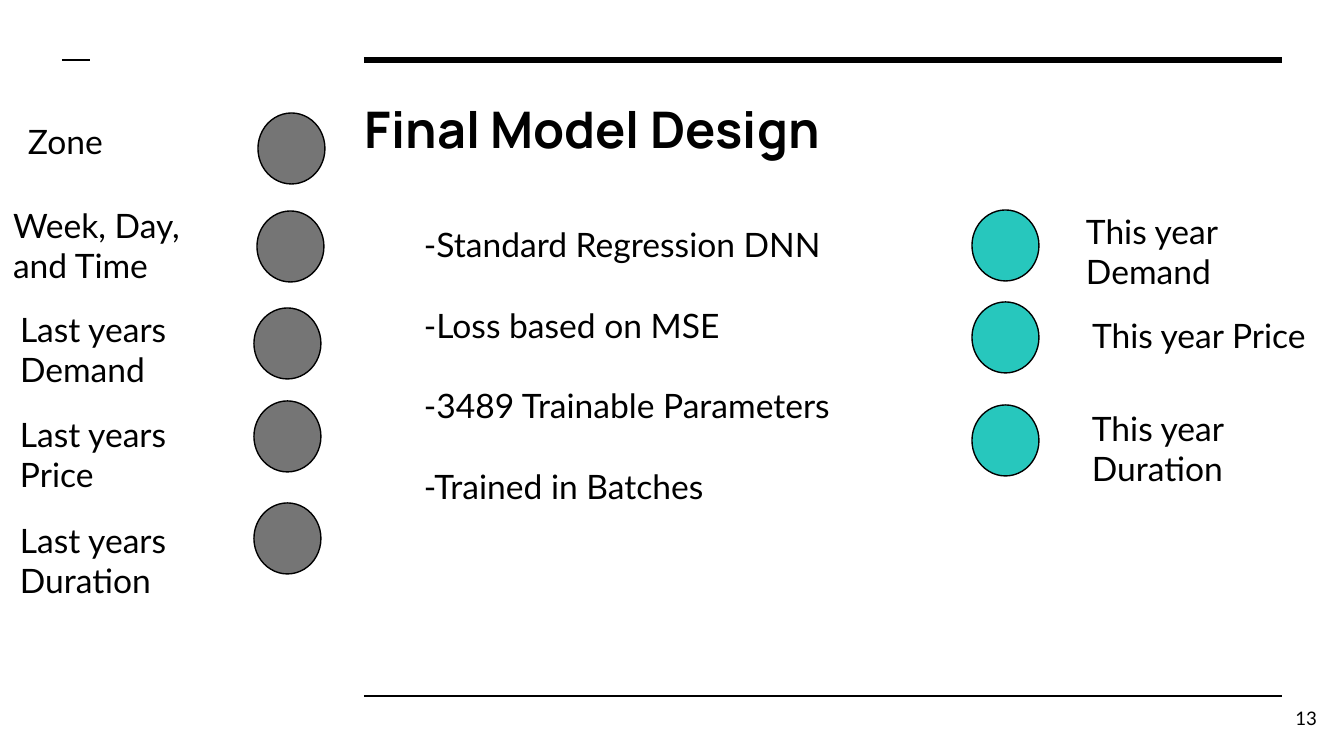
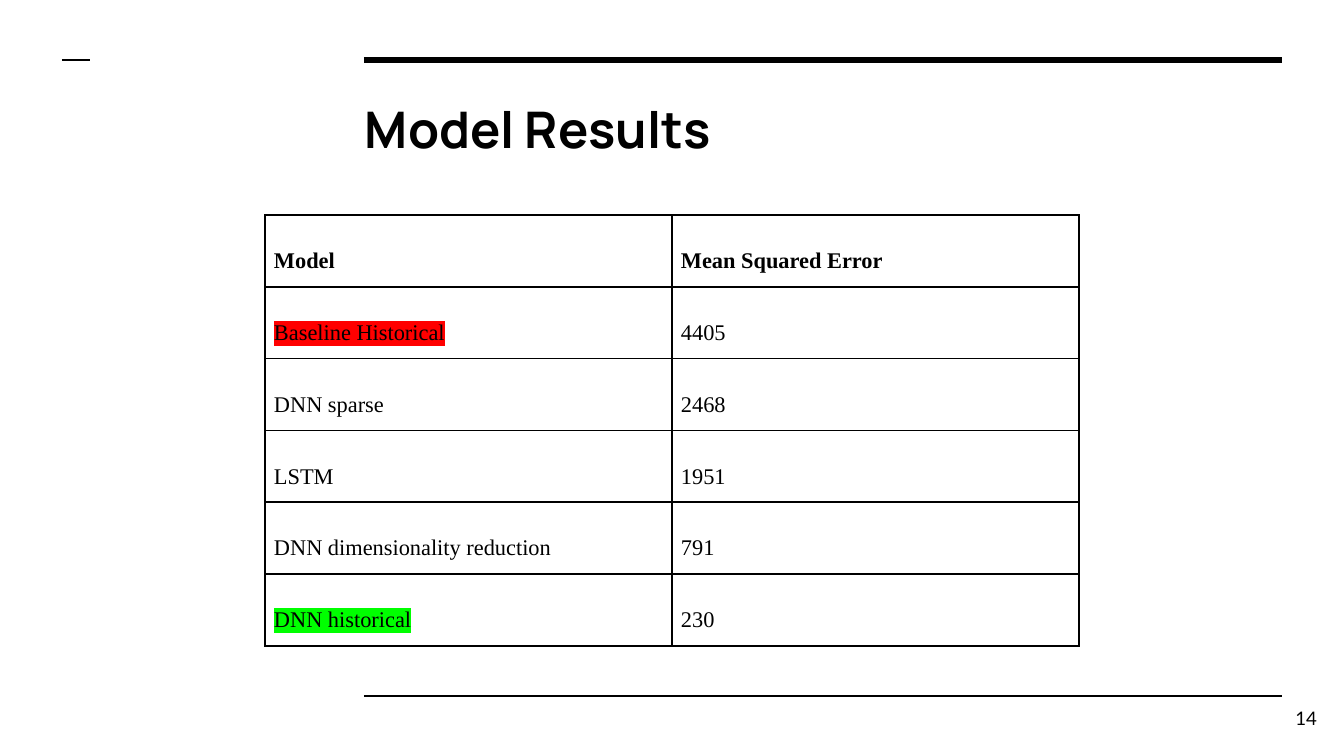
"""Build the model design and model results slides."""
from lxml import etree
from pptx import Presentation
from pptx.dml.color import RGBColor
from pptx.enum.shapes import MSO_CONNECTOR, MSO_SHAPE
from pptx.enum.text import MSO_ANCHOR, PP_ALIGN
from pptx.oxml.ns import qn
from pptx.util import Pt

STRAIGHT = MSO_CONNECTOR.STRAIGHT
OVAL = MSO_SHAPE.OVAL
TOP, MIDDLE = MSO_ANCHOR.TOP, MSO_ANCHOR.MIDDLE
LEFT, RIGHT = PP_ALIGN.LEFT, PP_ALIGN.RIGHT

EMU_PER_PX = 914400 / 134.4
COLORS = {"ink": "000000", "paper": "FFFFFF", "input": "757575",
          "output": "27C7BD", "worst": "FF0000", "best": "00FF00"}
TITLE_FONT, BODY_FONT, TABLE_FONT = "Manrope", "Lato", "Times New Roman"

RULES = [(364, 1282, 60, 3), (364, 1282, 696, 1.5), (62, 90, 60, 1.5)]
TITLE_BOX = (352, 85, 929, 93)
NUMBER_BOX = (1249, 689, 81, 58)
TEXT_INSET, CELL_INSET = 13, 9

NODE_SIZE = (67, 71)
NODES = {
    "input": [
        ((258, 113), "Zone", (15, 108, 231, 71)),
        ((257, 211), "Week, Day, and Time", (0, 192, 246, 71)),
        ((254, 308), "Last years Demand", (7, 296, 246, 93)),
        ((254, 401), "Last years Price", (7, 401, 231, 71)),
        ((254, 503), "Last years Duration", (7, 507, 231, 71)),
    ],
    "output": [
        ((972, 210), "This year Demand", (1073, 198, 246, 71)),
        ((972, 302), "This year Price", (1079, 302, 246, 93)),
        ((972, 405), "This year Duration", (1079, 395, 231, 71)),
    ],
}
DESIGN_BOX = (411, 211, 469, 228)
DESIGN_POINTS = ["-Standard Regression DNN", "-Loss based on MSE",
                 "-3489 Trainable Parameters", "-Trained in Batches"]

TABLE_ORIGIN = (265, 215)
COLUMN_WIDTH, ROW_HEIGHT = 407, 54
RESULTS = [
    ("Model", "Mean Squared Error"),
    ("Baseline Historical", "4405"),
    ("DNN sparse", "2468"),
    ("LSTM", "1951"),
    ("DNN dimensionality reduction", "791"),
    ("DNN historical", "230"),
]
HIGHLIGHTS = {"Baseline Historical": "worst", "DNN historical": "best"}


def px(*lengths):
    return [round(length * EMU_PER_PX) for length in lengths]


def rgb(name):
    return RGBColor.from_string(COLORS[name])


def set_font(paragraph, name, size, bold=False):
    font = paragraph.font
    font.name, font.size, font.bold = name, Pt(size), bold
    font.color.rgb = rgb("ink")


def set_insets(target, inset):
    edge = px(inset)[0]
    target.margin_left = target.margin_right = edge
    target.margin_top = target.margin_bottom = edge


def add_text(slide, box, lines, size=18, name=BODY_FONT, bold=False,
             align=LEFT, anchor=TOP, gap=0):
    frame = slide.shapes.add_textbox(*px(*box)).text_frame
    frame.word_wrap = True
    frame.vertical_anchor = anchor
    set_insets(frame, TEXT_INSET)
    for index, line in enumerate(lines):
        paragraph = frame.add_paragraph() if index else frame.paragraphs[0]
        paragraph.text = line
        paragraph.alignment = align
        if index:
            paragraph.space_before = Pt(gap)
        set_font(paragraph, name, size, bold)


def add_base_slide(presentation, title, number):
    slide = presentation.slides.add_slide(presentation.slide_layouts[6])
    slide.background.fill.solid()
    slide.background.fill.fore_color.rgb = rgb("paper")
    for start, end, y, width in RULES:
        rule = slide.shapes.add_connector(STRAIGHT, *px(start, y, end, y))
        rule.line.color.rgb = rgb("ink")
        rule.line.width = Pt(width)
        etree.SubElement(rule._element.spPr, qn("a:effectLst"))
    add_text(slide, TITLE_BOX, [title], 27, TITLE_FONT, bold=True)
    add_text(slide, NUMBER_BOX, [number], 10, align=RIGHT, anchor=MIDDLE)
    return slide


def add_node(slide, position, color):
    node = slide.shapes.add_shape(OVAL, *px(*position, *NODE_SIZE))
    node.shadow.inherit = False
    node.fill.solid()
    node.fill.fore_color.rgb = rgb(color)
    node.line.color.rgb = rgb("ink")
    node.line.width = Pt(0.75)


def add_solid(parent, tag, color):
    holder = etree.SubElement(parent, qn(tag))
    etree.SubElement(holder, qn("a:srgbClr"), val=COLORS[color])


def style_cell(cell, text, header):
    properties = cell._tc.get_or_add_tcPr()
    for side in "LRTB":
        border = etree.SubElement(properties, qn(f"a:ln{side}"), w=str(Pt(1)))
        add_solid(border, "a:solidFill", "ink")
    cell.fill.background()
    set_insets(cell, CELL_INSET)
    cell.text = text
    paragraph = cell.text_frame.paragraphs[0]
    paragraph.line_spacing = 2.0
    set_font(paragraph, TABLE_FONT, 12, header)
    if text in HIGHLIGHTS:
        run_properties = paragraph.runs[0]._r.get_or_add_rPr()
        add_solid(run_properties, "a:highlight", HIGHLIGHTS[text])


def add_results_table(slide):
    rows, columns = len(RESULTS), len(RESULTS[0])
    size = (COLUMN_WIDTH * columns, ROW_HEIGHT * rows)
    table = slide.shapes.add_table(rows, columns, *px(*TABLE_ORIGIN, *size)).table
    table.first_row = table.horz_banding = False
    for row, values in enumerate(RESULTS):
        for column, text in enumerate(values):
            style_cell(table.cell(row, column), text, header=row == 0)


def main():
    presentation = Presentation()
    presentation.slide_width, presentation.slide_height = px(1344, 756)

    design = add_base_slide(presentation, "Final Model Design", "13")
    for color, nodes in NODES.items():
        for position, label, label_box in nodes:
            add_node(design, position, color)
            add_text(design, label_box, [label])
    add_text(design, DESIGN_BOX, DESIGN_POINTS, gap=21.6)

    results = add_base_slide(presentation, "Model Results", "14")
    add_results_table(results)
    presentation.save("out.pptx")


if __name__ == "__main__":
    main()
